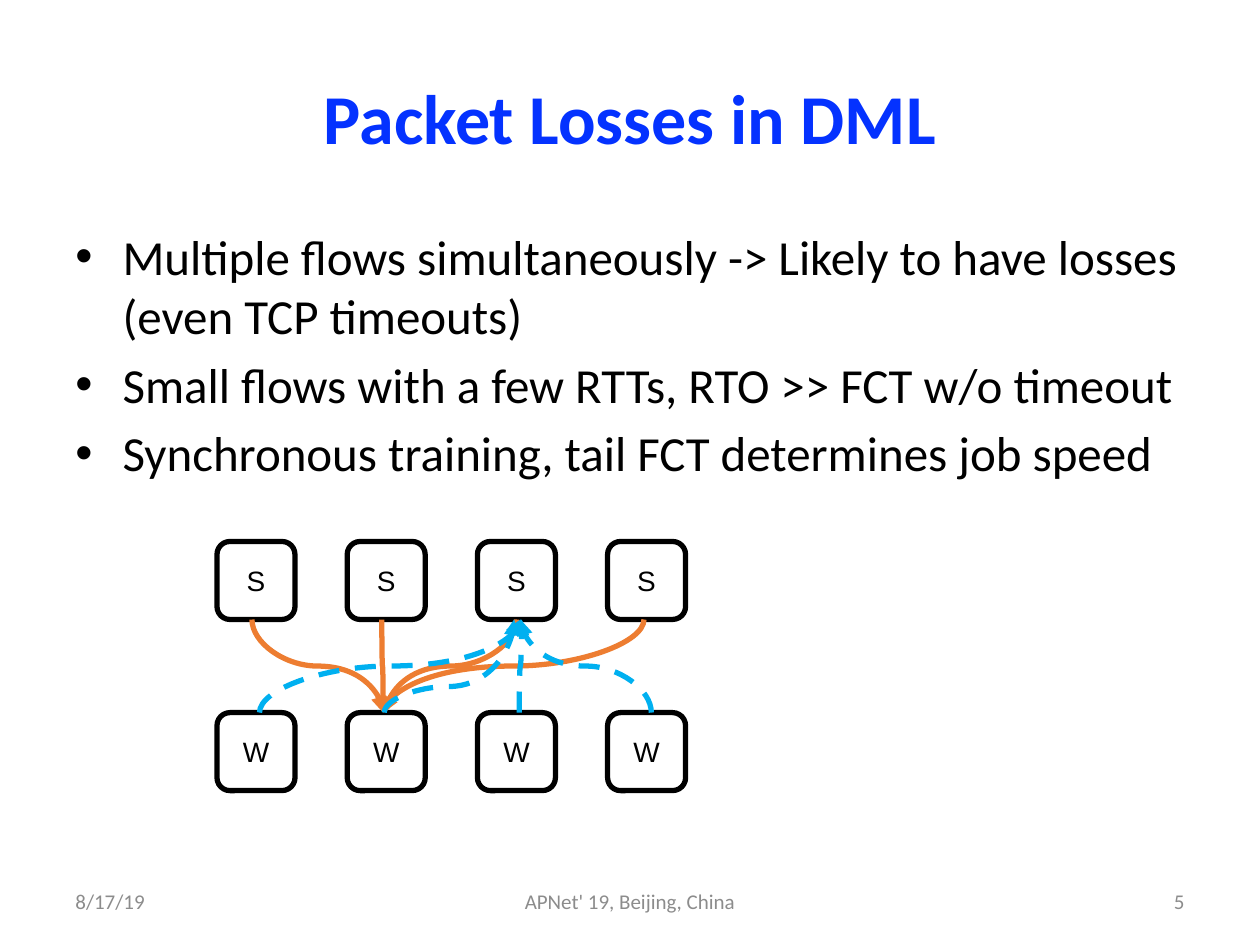
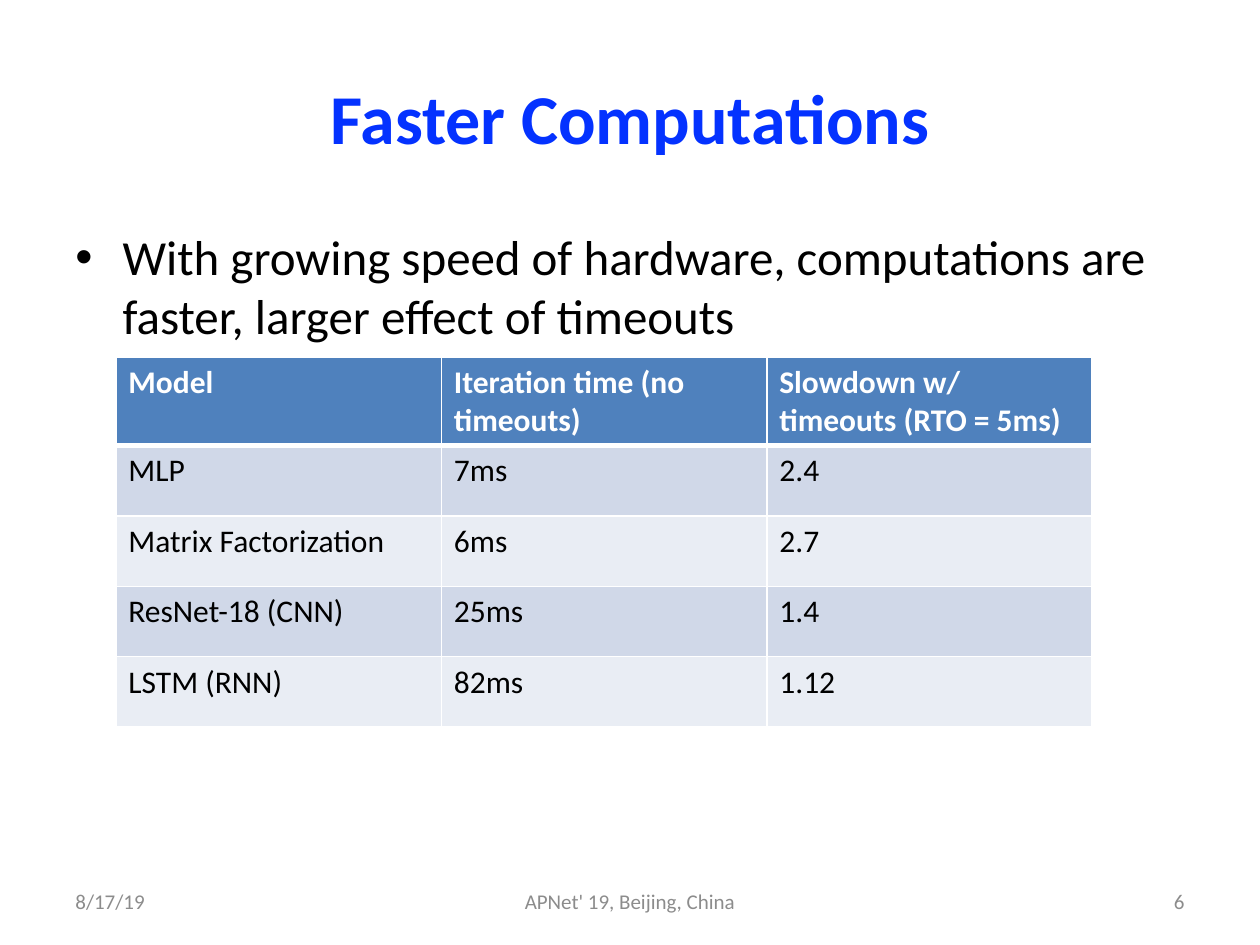
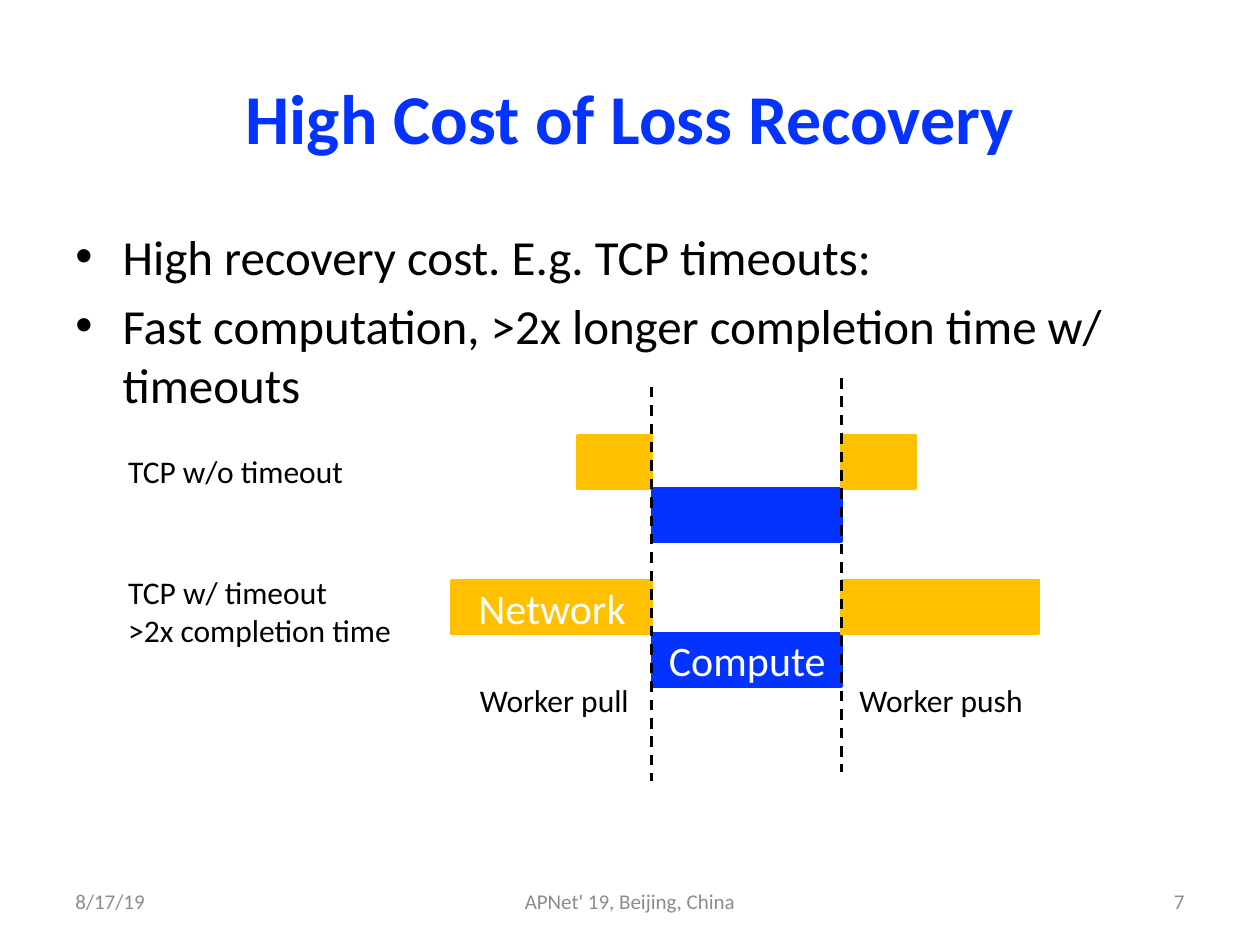
from lxml import etree
from pptx import Presentation, util as u
from pptx.dml.color import RGBColor
from pptx.enum import dml, shapes, text
from pptx.oxml import ns

Pt = u.Pt
ALIGN = text.PP_ALIGN
MIDDLE = text.MSO_ANCHOR.MIDDLE
COLORS = {
    "title": "0432FF", "black": "000000", "white": "FFFFFF", "footer": "8C8C8C",
    "pull": "ED7D31", "push": "00B0F0", "network": "FFC000", "compute": "0432FF",
    "header": "4F81BD", "odd": "D0D8E8", "even": "E9EDF4",
}
TITLE_BOX = (36, 21.6, 648, 90)
FOOTER_BOX = (36, 500.4, 648, 28.8)


def rgb(name):
    """Return the named colour."""
    return RGBColor.from_string(COLORS[name])


def sub(parent, tag, **attrs):
    """Append an XML element such as a:ln to the parent."""
    return etree.SubElement(parent, ns.qn(tag), attrs)


def write(tf, lines, size, color="black", font="Calibri", bold=False, align=ALIGN.LEFT):
    """Fill a text frame with one styled paragraph per line."""
    tf.text = "\n".join(lines)
    for p in tf.paragraphs:
        p.alignment = align
        for r in p.runs:
            r.font.size, r.font.name, r.font.bold = Pt(size), font, bold
            r.font.color.rgb = rgb(color)


def add_text(s, box, lines, size, wrap=True, anchor=text.MSO_ANCHOR.TOP, **style):
    """Add a text box and return its frame."""
    tf = s.shapes.add_textbox(*map(Pt, box)).text_frame
    tf.word_wrap = wrap
    tf.vertical_anchor = anchor
    write(tf, lines, size, **style)
    return tf


def add_box(s, kind, box, fill, line, width, label="", **style):
    """Add a filled shape with a centred label."""
    sp = s.shapes.add_shape(kind, *map(Pt, box))
    sp.shadow.inherit = False
    sp.fill.solid()
    sp.fill.fore_color.rgb = rgb(fill)
    sp.line.color.rgb = rgb(line)
    sp.line.width = Pt(width)
    if label:
        sp.text_frame.word_wrap = False
        sp.text_frame.vertical_anchor = MIDDLE
        write(sp.text_frame, [label], align=ALIGN.CENTER, **style)


def add_line(s, kind, start, end, color, width, dashed):
    """Add a connector without shadow."""
    c = s.shapes.add_connector(kind, *map(Pt, (*start, *end)))
    c.line.color.rgb = rgb(color)
    c.line.width = Pt(width)
    if dashed:
        c.line.dash_style = dml.MSO_LINE.DASH
    sub(c._element.spPr, "a:effectLst")
    return c


def add_flow(s, start, end, color, dashed, bend=0.5):
    """Add a curved arrow that leaves and arrives vertically."""
    (x1, y1), (x2, y2) = start, end
    cx, cy = (x1 + x2) / 2, (y1 + y2) / 2
    half_x, half_y = (y2 - y1) / 2, (x1 - x2) / 2
    c = add_line(s, shapes.MSO_CONNECTOR.CURVE, (cx - half_x, cy - half_y),
                 (cx + half_x, cy + half_y), color, 3, dashed)
    spPr = c._element.spPr
    spPr.find(ns.qn("a:xfrm")).set("rot", "5400000")
    geom = spPr.find(ns.qn("a:prstGeom"))
    for old in list(geom):
        geom.remove(old)
    sub(sub(geom, "a:avLst"), "a:gd", name="adj1", fmla=f"val {round(bend * 100000)}")
    sub(spPr.find(ns.qn("a:ln")), "a:tailEnd", type="triangle")


def add_footer(s, box, number):
    """Add the date, the venue and the slide number."""
    x, y, w, h = box
    side, mid = 168, 228
    for left, width, label, align in (
            (x + w - side, side, str(number), ALIGN.RIGHT),
            (x, side, "8/17/19", ALIGN.LEFT),
            (x + (w - mid) / 2, mid, "APNet' 19, Beijing, China", ALIGN.CENTER)):
        add_text(s, (left, y, width, h), [label], 12, anchor=MIDDLE, color="footer", align=align)


def add_bullets(s, box, lines):
    """Add the bulleted body text."""
    tf = add_text(s, box, lines, 28)
    for i, p in enumerate(tf.paragraphs):
        pPr = p._p.get_or_add_pPr()
        pPr.set("marL", str(Pt(27)))
        pPr.set("indent", str(-Pt(27)))
        sub(pPr, "a:buFont", typeface="Arial")
        sub(pPr, "a:buChar", char="•")
        if i:
            p.space_before = Pt(5.6)


def add_slide(prs, number, title, bullets, body_height):
    """Add a slide with its title, bullets and footer."""
    s = prs.slides.add_slide(prs.slide_layouts[6])
    add_text(s, TITLE_BOX, [title], 40, anchor=MIDDLE, color="title", bold=True, align=ALIGN.CENTER)
    add_bullets(s, (36, 126, 648, body_height), bullets)
    add_footer(s, FOOTER_BOX, number)
    return s


def add_network(s, box):
    """Draw servers above workers with the flows between them."""
    x, y, w, h = box
    size = 44.6
    pitch = (w - size) / 3
    for label, top in (("S", y), ("W", y + h - size)):
        for i in range(4):
            add_box(s, shapes.MSO_SHAPE.ROUNDED_RECTANGLE, (x + i * pitch, top, size, size),
                    "white", "black", 3, label, size=16, font="Arial")
    upper, lower = y + size, y + h - size
    for start, end in ((171.2, 96.3), (20, 95), (94.2, 95), (244, 95)):
        add_flow(s, (x + start, upper), (x + end, lower), "pull", False)
    for start, end, bend in ((24.3, 173.4, 0.5), (95.6, 169.8, 0.28),
                             (172.6, 174, 0.5), (248.2, 173.4, 0.5)):
        add_flow(s, (x + start, lower), (x + end, upper), "push", True, bend)


def set_borders(cell, bottom):
    """Give a cell white borders."""
    tcPr = cell._tc.get_or_add_tcPr()
    for side, width in (("L", 1), ("R", 1), ("T", 1), ("B", bottom)):
        ln = sub(tcPr, f"a:ln{side}", w=str(Pt(width)))
        sub(sub(ln, "a:solidFill"), "a:srgbClr", val=COLORS["white"])


def add_models(s, box, rows):
    """Draw the banded table of models."""
    header_height = 49.8
    table = s.shapes.add_table(len(rows), len(rows[0]), *map(Pt, box)).table
    for col in table.columns:
        col.width = Pt(box[2] / len(rows[0]))
    for i, values in enumerate(rows):
        head = i == 0
        table.rows[i].height = Pt(header_height if head else (box[3] - header_height) / (len(rows) - 1))
        for j, value in enumerate(values):
            cell = table.cell(i, j)
            set_borders(cell, 3 if head else 1)
            cell.fill.solid()
            cell.fill.fore_color.rgb = rgb("header" if head else "odd" if i % 2 else "even")
            write(cell.text_frame, [value], 18, "white" if head else "black", bold=head)


def add_timeline(s, box):
    """Compare network and compute phases without and with a timeout."""
    x, y, w, h = box
    bar = 30.2
    pull, push = x + 306.2, x + 414.8
    for top, pull_width, push_width, labels in (
            (y + 33.1, 42, 42, ("", "")), (y + 115.9, 114, 112.5, ("Network", "Compute"))):
        for left, offset, width, color, label in (
                (pull - pull_width, 0, pull_width, "network", labels[0]),
                (pull + 0.8, bar, push - pull - 1, "compute", labels[1]),
                (push, 0, push_width, "network", "")):
            add_box(s, shapes.MSO_SHAPE.RECTANGLE, (left, top + offset, width, bar),
                    color, color, 2, label, size=24, color="white")
    for left, top, width, lines in (
            (x, y + 38.9, 139, ["TCP w/o timeout"]),
            (x, y + 108, 166.3, ["TCP w/ timeout", ">2x completion time"]),
            (pull - 105.2, y + 169.9, 100.8, ["Worker pull"]),
            (push + 3, y + 169.9, 108.7, ["Worker push"])):
        add_text(s, (left, top, width, 7.2 + 22 * len(lines)), lines, 18, wrap=False)
    for left, top in ((pull, y + 5), (push, y)):
        add_line(s, shapes.MSO_CONNECTOR.STRAIGHT, (left, top), (left, top + h - 5), "black", 1.5, True)


def main():
    """Build the slides."""
    prs = Presentation()
    prs.slide_width, prs.slide_height = Pt(720), Pt(540)
    s = add_slide(prs, 5, "Packet Losses in DML", [
        "Multiple flows simultaneously -> Likely to have losses (even TCP timeouts)",
        "Small flows with a few RTTs, RTO >> FCT w/o timeout",
        "Synchronous training, tail FCT determines job speed"], 156.2)
    add_network(s, (124, 309.4, 267.8, 142.4))
    s = add_slide(prs, 6, "Faster Computations", [
        "With growing speed of hardware, computations are faster, larger effect of timeouts"], 356.4)
    add_models(s, (66.2, 204, 558, 211), [
        ("Model", "Iteration time (no timeouts)", "Slowdown w/ timeouts (RTO = 5ms)"),
        ("MLP", "7ms", "2.4"),
        ("Matrix Factorization", "6ms", "2.7"),
        ("ResNet-18 (CNN)", "25ms", "1.4"),
        ("LSTM (RNN)", "82ms", "1.12")])
    s = add_slide(prs, 7, "High Cost of Loss Recovery", [
        "High recovery cost. E.g. TCP timeouts:",
        "Fast computation, >2x longer completion time w/ timeouts"], 158.4)
    add_timeline(s, (66.2, 216, 528, 230.4))
    prs.save("out.pptx")


if __name__ == "__main__":
    main()
